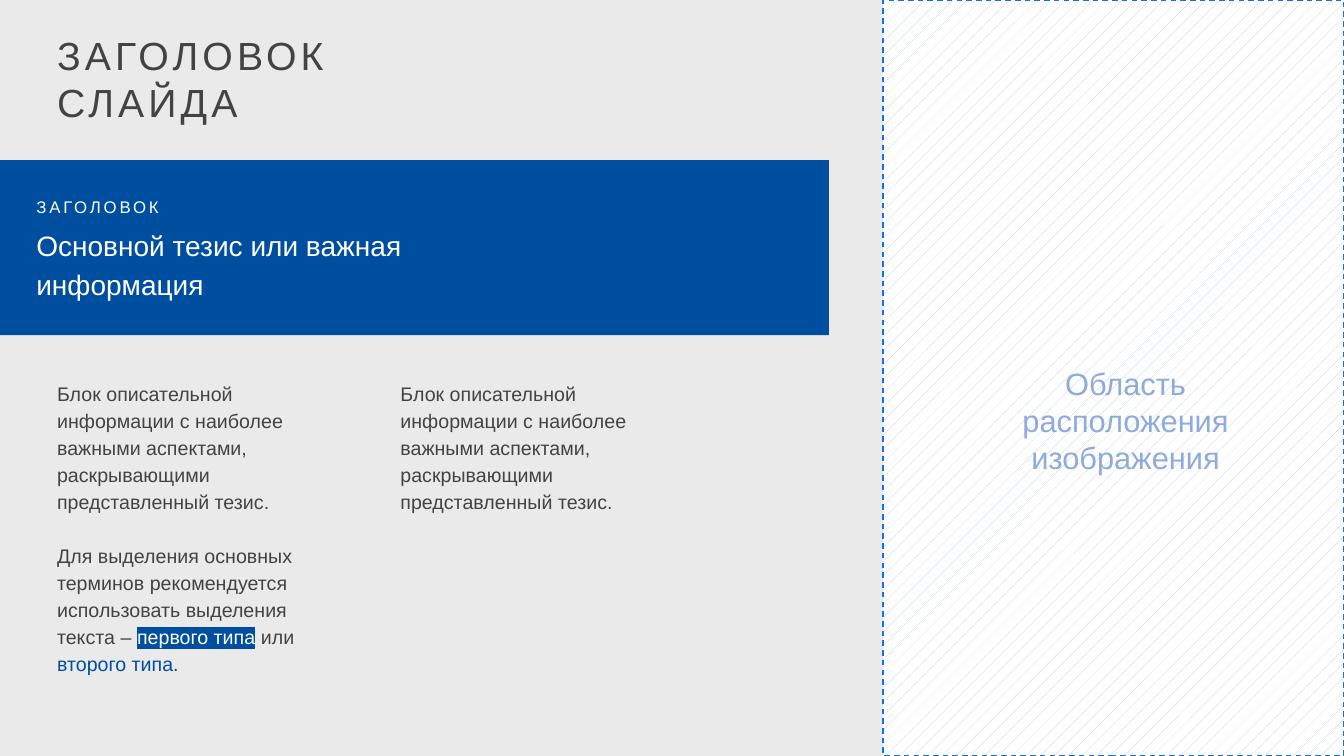
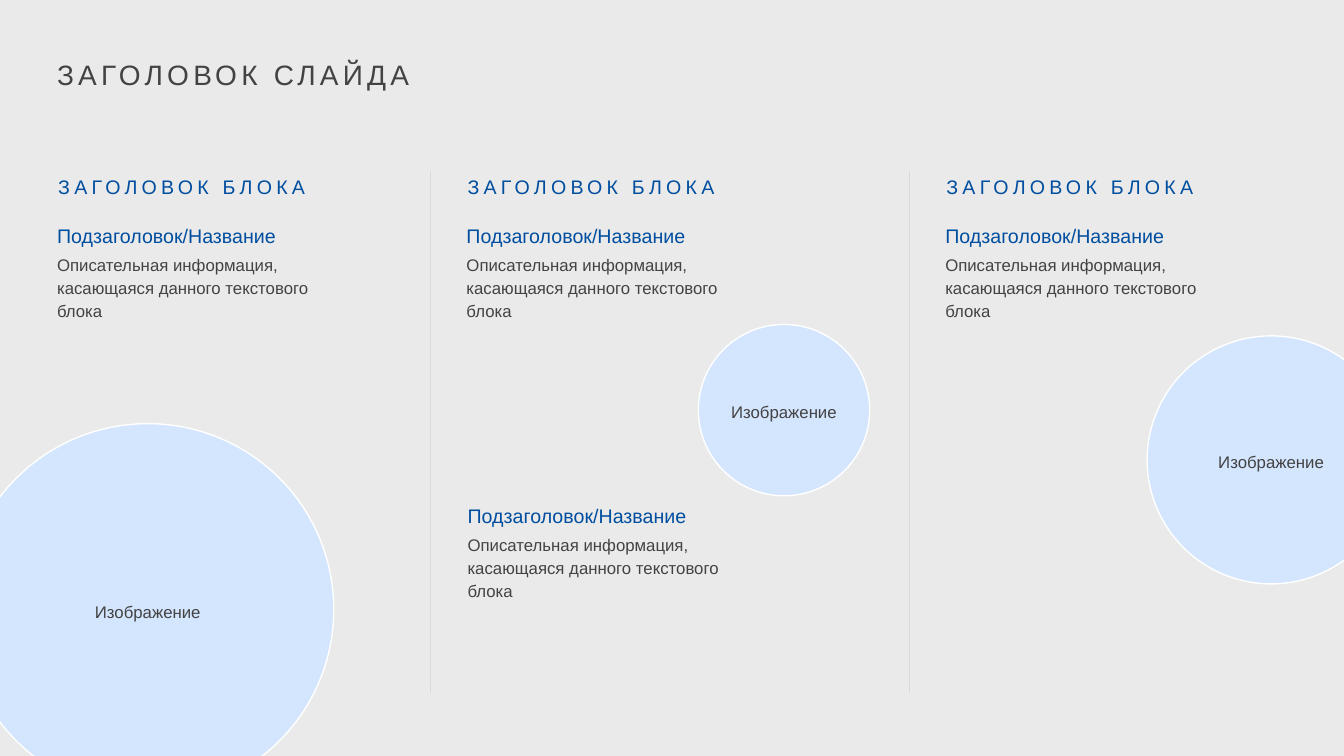
"""Build a thesis slide with an image area and a three-column slide with image circles."""
from lxml import etree
from pptx import Presentation
from pptx.dml.color import RGBColor
from pptx.enum.dml import MSO_LINE, MSO_PATTERN
from pptx.enum.shapes import MSO_CONNECTOR, MSO_SHAPE
from pptx.enum.text import MSO_ANCHOR, PP_ALIGN
from pptx.oxml.ns import qn
from pptx.util import Inches, Pt

FONT = "Arial"
GRAY = RGBColor(0xEA, 0xEA, 0xEA)
INK = RGBColor(0x43, 0x43, 0x43)
BLUE = RGBColor(0x00, 0x4E, 0x9F)
WHITE = RGBColor(0xFF, 0xFF, 0xFF)
RULE = RGBColor(0xD9, 0xD9, 0xD9)
CIRCLE = RGBColor(0xD4, 0xE5, 0xFE)
HATCH = RGBColor(0xB4, 0xC7, 0xE7)
DASH = RGBColor(0x17, 0x6D, 0xEA)
HINT = RGBColor(0x8F, 0xAA, 0xDC)

deck = Presentation()
deck.slide_width, deck.slide_height = Inches(13.33), Inches(7.5)
COLUMN, ROW = deck.slide_width / 24, deck.slide_height / 24
MARGIN = 1.02
background = deck.slide_master.background.fill
background.solid()
background.fore_color.rgb = GRAY
blank = deck.slide_layouts[6]


def add_text(page, left, top, width, height, paragraphs, spacing=1.15, align=PP_ALIGN.LEFT):
    """Add a box, placed in columns and rows, of (space before, spans) paragraphs."""
    box = page.shapes.add_textbox(
        round(left * COLUMN), round(top * ROW), round(width * COLUMN), round(height * ROW))
    frame = box.text_frame
    frame.word_wrap = True
    frame.margin_left = frame.margin_top = frame.margin_right = frame.margin_bottom = 0
    for index, (before, spans) in enumerate(paragraphs):
        para = frame.add_paragraph() if index else frame.paragraphs[0]
        para.alignment = align
        para.line_spacing = spacing
        if before:
            para.space_before = Pt(before)
        for text, size, color, tracking in spans:
            if "\n" in text:
                para.text = text
                runs = para.runs
            else:
                span = para.add_run()
                span.text = text
                runs = [span]
            for span in runs:
                span.font.name = FONT
                span.font.size = Pt(size)
                span.font.color.rgb = color
                if tracking:
                    span.font._element.set("spc", str(tracking * 100))
    return frame


def add_shape(page, kind, left, top, width, height, line=None):
    """Add a shape placed in columns and rows, with an optional one-point outline."""
    shape = page.shapes.add_shape(
        kind, round(left * COLUMN), round(top * ROW), round(width * COLUMN), round(height * ROW))
    shape.shadow.inherit = False
    if line is None:
        shape.line.fill.background()
    else:
        shape.line.color.rgb = line
        shape.line.width = Pt(1)
    return shape


page = deck.slides.add_slide(blank)
add_text(page, MARGIN, 1, 9.8, 3, [(0, [("ЗАГОЛОВОК\nСЛАЙДА", 28, INK, 3)])], spacing=1)

banner = add_shape(page, MSO_SHAPE.RECTANGLE, 0, 5.08, 14.8, 5.56)
banner.fill.solid()
banner.fill.fore_color.rgb = BLUE
add_text(page, 0.65, 6.14, 9.52, 3.46, [
    (0, [("ЗАГОЛОВОК", 12, WHITE, 2)]),
    (5, [("Основной тезис или важная информация", 20, WHITE, 0)]),
])

description = (0, [(
    "Блок описательной информации с наиболее важными аспектами, "
    "раскрывающими представленный тезис.", 14, INK, 0)])
emphasis = (19.3, [
    ("Для выделения основных терминов рекомендуется использовать выделения текста – ", 14, INK, 0),
    ("первого типа", 14, WHITE, 0),
    (" или ", 14, INK, 0),
    ("второго типа.", 14, BLUE, 0),
])
frame = add_text(page, MARGIN, 12, 5, 9.54, [description, emphasis])
add_text(page, 7.15, 12, 5.3, 4.32, [description])

marked = frame.paragraphs[1].runs[1].font._element
highlight = etree.Element(qn("a:highlight"))
etree.SubElement(highlight, qn("a:srgbClr"), val=str(BLUE))
marked.find(qn("a:solidFill")).addnext(highlight)

area = add_shape(page, MSO_SHAPE.RECTANGLE, 15.77, 0, 8.23, 24, DASH)
area.line.dash_style = MSO_LINE.DASH
area.fill.patterned()
area.fill.pattern = MSO_PATTERN.PERCENT_5
area.fill.fore_color.rgb = HATCH
area.fill.back_color.rgb = WHITE
frame = add_text(page, 17.24, 9.73, 5.72, 7.2, [
    (0, [("Область расположения изображения", 22, HINT, 0)])], 1, PP_ALIGN.CENTER)
frame.vertical_anchor = MSO_ANCHOR.MIDDLE

page = deck.slides.add_slide(blank)
add_text(page, MARGIN, 1.66, 16, 1.25, [(0, [("ЗАГОЛОВОК СЛАЙДА", 20, INK, 3)])])

block_lefts = (MARGIN, 8.33, 16.88)
for left in block_lefts:
    add_text(page, left + 0.02, 5.44, 6, 0.86, [(0, [("ЗАГОЛОВОК БЛОКА", 14, BLUE, 3)])])

for left, top in [(left, 7) for left in block_lefts] + [(8.35, 15.9)]:
    add_text(page, left, top, 5, 3.17, [
        (0, [("Подзаголовок/Название", 14, BLUE, 0)]),
        (3, [("Описательная информация, касающаяся данного текстового блока", 12, INK, 0)]),
    ], 1.14)

for left in block_lefts[1:]:
    x = round((left - 0.64) * COLUMN)
    divider = page.shapes.add_connector(
        MSO_CONNECTOR.STRAIGHT, x, round(22 * ROW), x, round(5.44 * ROW))
    divider.line.color.rgb = RULE
    divider.line.width = Pt(1.25)
    etree.SubElement(divider._element.spPr, qn("a:effectLst"))

for center_x, center_y, diameter in ((2.64, 19.35, 6.64), (14, 13.02, 3.06), (22.7, 14.6, 4.43)):
    rows = diameter * COLUMN / ROW
    circle = add_shape(page, MSO_SHAPE.OVAL, center_x - diameter / 2, center_y - rows / 2,
                       diameter, rows, WHITE)
    circle.fill.solid()
    circle.fill.fore_color.rgb = CIRCLE
    add_text(page, center_x - 1.1, center_y - 0.35, 2.2, 0.7,
             [(0, [("Изображение", 12, INK, 0)])], 1.14, PP_ALIGN.CENTER)

deck.save("out.pptx")
